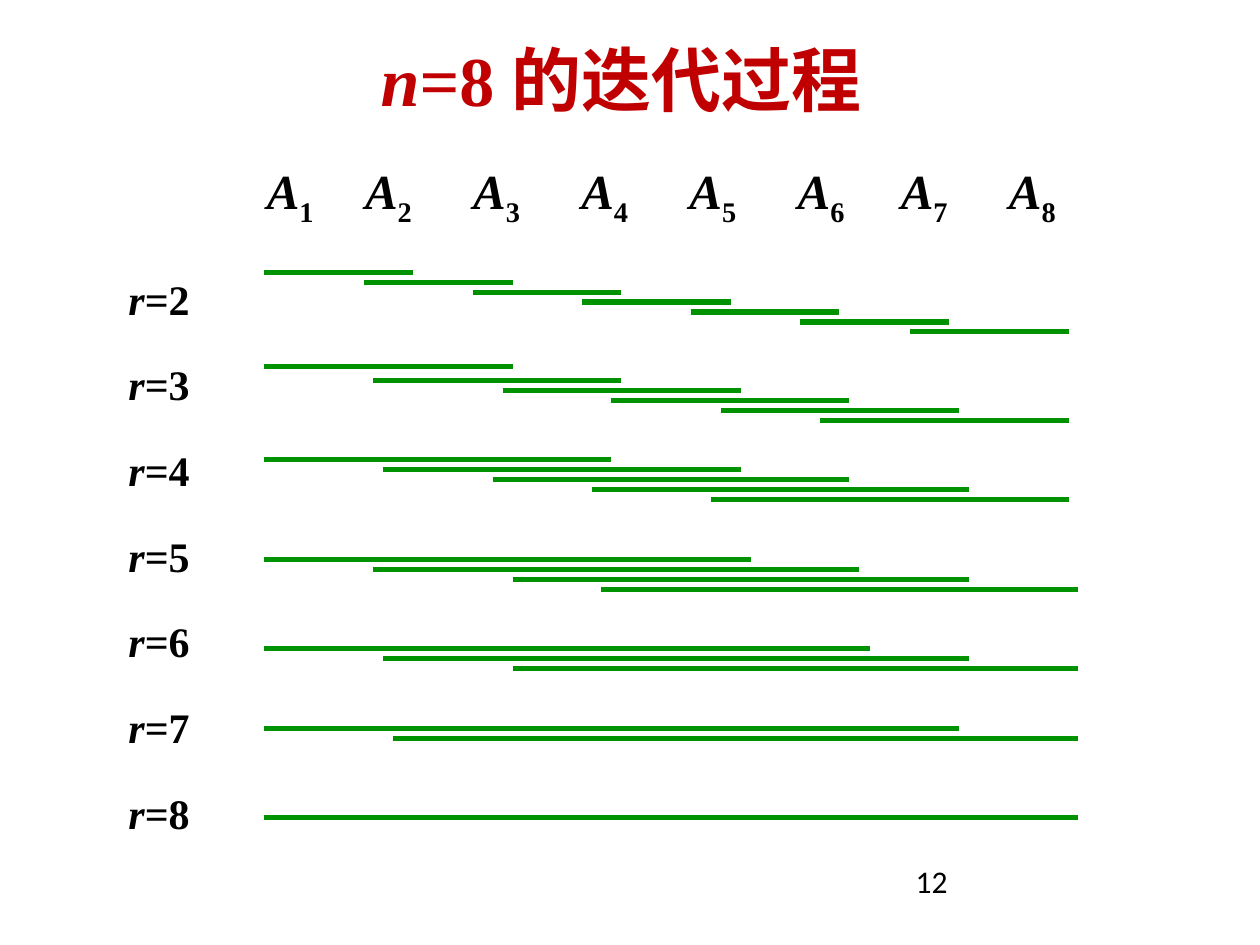
from lxml.etree import SubElement
from pptx import Presentation
from pptx.dml.color import RGBColor
from pptx.enum.shapes import MSO_CONNECTOR
from pptx.enum.text import MSO_ANCHOR, PP_ALIGN
from pptx.oxml.ns import qn
from pptx.util import Cm, Pt

THEME = {
    "title": RGBColor(0xC0, 0x00, 0x00), "text": RGBColor(0, 0, 0),
    "line": RGBColor(0x00, 0x92, 0x00), "line_width": 3,
    "serif": "Times New Roman", "sans": "Calibri",
    "title_size": 40, "matrix_size": 28, "label_size": 24, "number_size": 18,
}

# Content: lengths in cm; each chain is (start, end) of the product it covers
SLIDE_NUMBER = "12"
MATRIX_STARTS = [5.38, 7.36, 9.54, 11.72, 13.9, 16.08, 18.16, 20.34]
CHAIN_STEP = 0.2
ROUNDS = [
    {"r": 2, "top": 5.49, "chains": [
        (5.33, 8.33), (7.34, 10.34), (9.53, 12.52), (11.73, 14.73),
        (13.92, 16.92), (16.13, 19.13), (18.34, 21.54)]},
    {"r": 3, "top": 7.39, "first_step": 0.28, "chains": [
        (5.33, 10.34), (7.52, 12.52), (10.13, 14.94), (12.32, 17.12),
        (14.53, 19.33), (16.54, 21.54)]},
    {"r": 4, "top": 9.27, "chains": [
        (5.33, 12.32), (7.72, 14.94), (9.93, 17.12), (11.94, 19.53),
        (14.33, 21.54)]},
    {"r": 5, "top": 11.28, "chains": [
        (5.33, 15.14), (7.52, 17.32), (10.34, 19.53), (12.12, 21.74)]},
    {"r": 6, "top": 13.08, "chains": [
        (5.33, 17.53), (7.72, 19.53), (10.34, 21.74)]},
    {"r": 7, "top": 14.68, "chains": [(5.33, 19.33), (7.92, 21.74)]},
    {"r": 8, "top": 16.48, "chains": [(5.33, 21.74)]},
]


def add_text(paragraph, text, *, size, font=THEME["serif"], color=THEME["text"],
             bold=True, italic=False, subscript=False):
    run = paragraph.add_run()
    run.text = text
    run.font.size = Pt(size)
    run.font.name = font
    run.font.color.rgb = color
    run.font.bold = bold
    run.font.italic = italic
    if subscript:
        run.font._element.set("baseline", "-25000")


def add_box(slide, left, top, width, height):
    shape = slide.shapes.add_textbox(Cm(left), Cm(top), Cm(width), Cm(height))
    shape.text_frame.word_wrap = True
    return shape.text_frame


def set_tabs(paragraph, positions):
    tab_list = SubElement(paragraph._p.get_or_add_pPr(), qn("a:tabLst"))
    for position in positions:
        SubElement(tab_list, qn("a:tab"), pos=str(Cm(position)), algn="l")


def add_chain(slide, start, end, top):
    connector = slide.shapes.add_connector(
        MSO_CONNECTOR.STRAIGHT, Cm(start), Cm(top), Cm(end), Cm(top))
    connector.line.color.rgb = THEME["line"]
    connector.line.width = Pt(THEME["line_width"])
    SubElement(connector._element.spPr, qn("a:effectLst"))


presentation = Presentation()
presentation.slide_width, presentation.slide_height = Cm(25.4), Cm(19.05)
slide = presentation.slides.add_slide(presentation.slide_layouts[5])

# Title
title = slide.shapes.title
title.left, title.top, title.width, title.height = Cm(1.09), Cm(0), Cm(22.86), Cm(3.18)
title.text_frame.vertical_anchor = MSO_ANCHOR.MIDDLE
paragraph = title.text_frame.paragraphs[0]
paragraph.alignment = PP_ALIGN.CENTER
title_format = {"size": THEME["title_size"], "color": THEME["title"]}
add_text(paragraph, "n", italic=True, **title_format)
add_text(paragraph, "=8 的", **title_format)
add_text(paragraph, "迭代过程", font=THEME["sans"], **title_format)

# Matrix names, one tab stop each
matrix_left, inset = 2.51, 0.25
paragraph = add_box(slide, matrix_left, 3.12, 19.58, 1.45).paragraphs[0]
set_tabs(paragraph, [start - matrix_left - inset for start in MATRIX_STARTS])
for index in range(1, len(MATRIX_STARTS) + 1):
    add_text(paragraph, "\tA", size=THEME["matrix_size"], italic=True)
    add_text(paragraph, str(index), size=THEME["matrix_size"], subscript=True)

# Round labels and their chains
labels = add_box(slide, 2.34, 4.67, 2.21, 12.32)
for position, group in enumerate(ROUNDS):
    paragraph = labels.add_paragraph() if position else labels.paragraphs[0]
    paragraph.line_spacing = 1.7
    add_text(paragraph, "r", size=THEME["label_size"], italic=True)
    add_text(paragraph, f"={group['r']}", size=THEME["label_size"])

    extra = group.get("first_step", CHAIN_STEP) - CHAIN_STEP
    for row, (start, end) in enumerate(group["chains"]):
        add_chain(slide, start, end,
                  group["top"] + row * CHAIN_STEP + (extra if row else 0))

# Slide number
number = add_box(slide, 18.21, 17.25, 5.92, 1.02)
add_text(number.paragraphs[0], SLIDE_NUMBER, size=THEME["number_size"],
         font=THEME["sans"], bold=False)

presentation.save("out.pptx")
